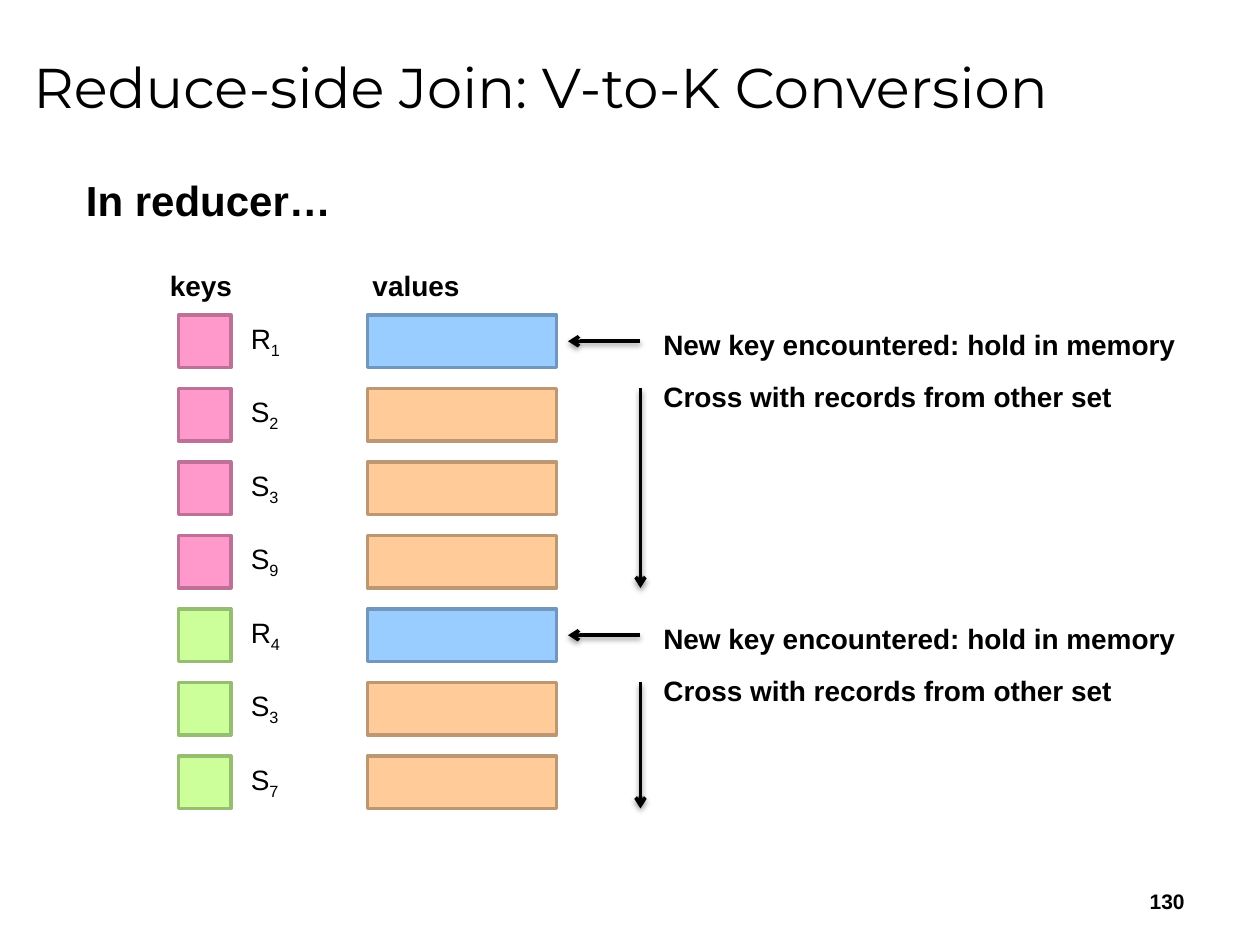
from lxml import etree
from pptx import Presentation
from pptx.dml.color import RGBColor
from pptx.enum.shapes import MSO_CONNECTOR, MSO_SHAPE
from pptx.enum.text import MSO_ANCHOR, PP_ALIGN
from pptx.oxml import parse_xml
from pptx.oxml.ns import nsdecls, qn
from pptx.util import Inches, Pt

STRAIGHT = MSO_CONNECTOR.STRAIGHT
RECTANGLE = MSO_SHAPE.RECTANGLE
TOP, MIDDLE = MSO_ANCHOR.TOP, MSO_ANCHOR.MIDDLE
LEFT, RIGHT = PP_ALIGN.LEFT, PP_ALIGN.RIGHT

BLACK = RGBColor(0x00, 0x00, 0x00)
PINK = RGBColor(0xFF, 0x99, 0xCC)
PINK_EDGE = RGBColor(0xBD, 0x71, 0x97)
GREEN = RGBColor(0xCC, 0xFF, 0x99)
GREEN_EDGE = RGBColor(0x97, 0xBD, 0x71)
BLUE = RGBColor(0x99, 0xCC, 0xFF)
BLUE_EDGE = RGBColor(0x71, 0x97, 0xBD)
ORANGE = RGBColor(0xFF, 0xCC, 0x99)
ORANGE_EDGE = RGBColor(0xBD, 0x97, 0x71)

COLUMNS, ROWS = 120, 90
FIRST_ROW, RECORD_STEP, RECORD_HEIGHT = 30, 7, 5
KEY_COLUMN, VALUE_COLUMN, VALUE_WIDTH = 17, 35, 18
LABEL_HEIGHT = 4.44

GROUPS = [
    (["R1", "S2", "S3", "S9"], PINK, PINK_EDGE),
    (["R4", "S3", "S7"], GREEN, GREEN_EDGE),
]

SHADOW = (
    f'<a:effectLst {nsdecls("a")}><a:outerShdw blurRad="{Pt(3.1)}" '
    f'dist="{Pt(1.6)}" dir="5400000" rotWithShape="0">'
    '<a:srgbClr val="000000"><a:alpha val="38000"/></a:srgbClr>'
    '</a:outerShdw></a:effectLst>'
)


class JoinSlide:
    """Holds the grid, the text style and the current page."""

    def __init__(self, deck):
        self.page = deck.slides.add_slide(deck.slide_layouts[6])
        self.column = deck.slide_width / COLUMNS
        self.row = deck.slide_height / ROWS
        self.style = {"name": "Arial", "size": Pt(16), "bold": True}

    def place(self, left, top, width, height):
        return (round(left * self.column), round(top * self.row),
                round(width * self.column), round(height * self.row))

    def text(self, words, area, wrap=False, anchor=TOP, align=LEFT, subscript="", **changes):
        frame = self.page.shapes.add_textbox(*self.place(*area)).text_frame
        frame.word_wrap = wrap
        frame.vertical_anchor = anchor
        para = frame.paragraphs[0]
        para.alignment = align
        for part in filter(None, (words, subscript)):
            span = para.add_run()
            span.text = part
            for name, value in {**self.style, **changes}.items():
                setattr(span.font, name, value)
            span.font.color.rgb = BLACK
        if subscript:
            span.font._element.set("baseline", "-25000")

    def box(self, area, fill, edge):
        box = self.page.shapes.add_shape(RECTANGLE, *self.place(*area))
        box.shadow.inherit = False
        box.fill.solid()
        box.fill.fore_color.rgb = fill
        box.line.color.rgb = edge
        box.line.width = Pt(2)

    def arrow(self, start, end):
        points = self.place(*start, *end)
        arrow = self.page.shapes.add_connector(STRAIGHT, *points)
        arrow.line.color.rgb = BLACK
        arrow.line.width = Pt(2)
        etree.SubElement(arrow.line._get_or_add_ln(), qn("a:tailEnd"), type="arrow")
        arrow._element.spPr.append(parse_xml(SHADOW))

    def record(self, label, top, fill, edge):
        value_colors = (BLUE, BLUE_EDGE) if label[0] == "R" else (ORANGE, ORANGE_EDGE)
        self.box((KEY_COLUMN, top, RECORD_HEIGHT, RECORD_HEIGHT), fill, edge)
        self.text(label[0], (22.7, top, 5.4, LABEL_HEIGHT), subscript=label[1], bold=False)
        self.box((VALUE_COLUMN, top, VALUE_WIDTH, RECORD_HEIGHT), *value_colors)

    def group(self, labels, top, fill, edge):
        for index, label in enumerate(labels):
            self.record(label, top + index * RECORD_STEP, fill, edge)
        bottom = top + (len(labels) - 1) * RECORD_STEP + RECORD_HEIGHT
        self.arrow((61, top + 2.5), (54.1, top + 2.5))
        self.text("New key encountered: hold in memory",
                  (62, top + 0.6, 51.8, LABEL_HEIGHT))
        self.arrow((61, top + RECORD_STEP), (61, bottom))
        self.text("Cross with records from other set",
                  (62, top + 5.6, 45.7, LABEL_HEIGHT))


def main():
    deck = Presentation()
    deck.slide_width, deck.slide_height = Inches(10), Inches(7.5)
    slide = JoinSlide(deck)
    slide.text("Reduce-side Join: V-to-K Conversion", (2, 1.5, 114, 13.4), wrap=True,
               anchor=MIDDLE, name="Montserrat", size=Pt(32), bold=False)
    slide.text("In reducer…", (7, 16, 26, 6), size=Pt(24))
    slide.text("keys", (15, 25, 8.4, LABEL_HEIGHT))
    slide.text("values", (34.3, 25, 10.8, LABEL_HEIGHT))
    top = FIRST_ROW
    for labels, fill, edge in GROUPS:
        slide.group(labels, top, fill, edge)
        top += len(labels) * RECORD_STEP
    slide.text("130", (86, 83.4, 28, 4.8), wrap=True, anchor=MIDDLE, align=RIGHT, size=Pt(12))
    deck.save("out.pptx")


if __name__ == "__main__":
    main()
